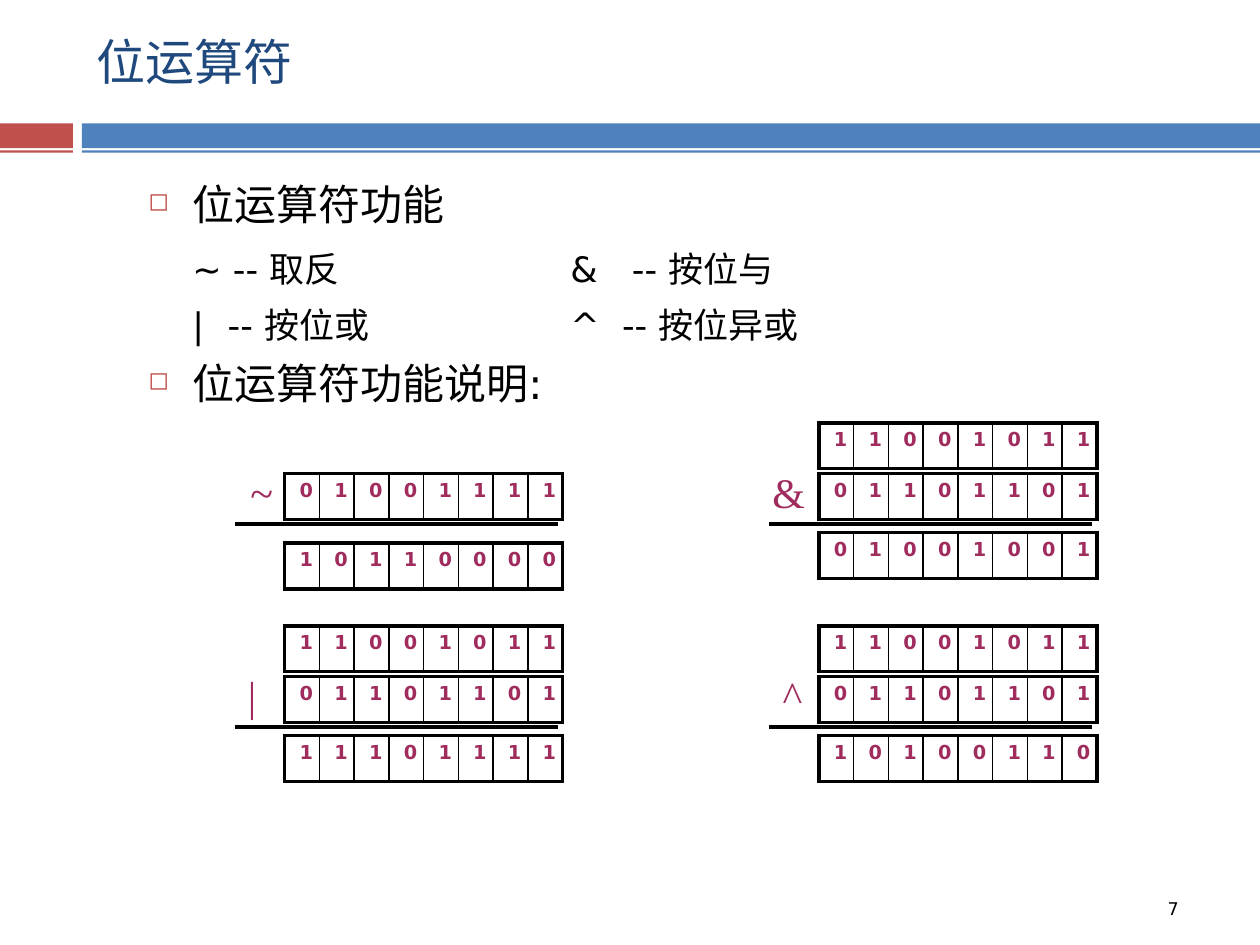
from lxml import etree
from pptx import Presentation
from pptx.dml.color import RGBColor
from pptx.enum.shapes import MSO_CONNECTOR, MSO_SHAPE
from pptx.enum.text import MSO_ANCHOR, PP_ALIGN
from pptx.oxml.ns import qn
from pptx.util import Cm, Pt

RECTANGLE = MSO_SHAPE.RECTANGLE
STRAIGHT = MSO_CONNECTOR.STRAIGHT
MIDDLE, TOP = MSO_ANCHOR.MIDDLE, MSO_ANCHOR.TOP
CENTER, LEFT = PP_ALIGN.CENTER, PP_ALIGN.LEFT

SANS, SERIF = "DejaVu Sans", "Times New Roman"
BLACK, RED, BLUE, NAVY, PLUM = "000000", "C0504D", "4F81BD", "1F497D", "A02C5E"
COLUMN_WIDTH, ROW_HEIGHT = 0.7, 0.92
OPERAND_STEP = 1.02
THICK, THIN = 2.25, 1

# Text, space before, bulleted, tab stops in cm
BODY = [
    ("位运算符功能", 7, True, []),
    ("\t~ -- 取反\t&\t-- 按位与", 10.5, False, [0.89, 8.51, 9.75]),
    ("\t|\t-- 按位或\t^\t-- 按位异或", 8, False, [0.89, 1.6, 8.51, 9.55]),
    ("位运算符功能说明:", 7, True, []),
]

# Symbol, symbol offset, table left, operand top, result offset, rows of bits
OPERATIONS = [
    ("~", -0.99, 5.74, 9.55, 1.4, ["01001111", "10110000"]),
    ("&", -1.24, 16.51, 9.55, 1.19, ["11001011", "01101101", "01001001"]),
    ("|", -1.04, 5.74, 13.64, 1.19, ["11001011", "01101101", "11101111"]),
    ("^", -1.03, 16.51, 13.64, 1.19, ["11001011", "01101101", "10100110"]),
]


def color(value):
    """Turn a hex string into a colour."""
    return RGBColor.from_string(value)


def add_element(parent, tag, **attributes):
    """Append a DrawingML element and return it."""
    element = etree.SubElement(parent, qn(tag))
    for name, value in attributes.items():
        element.set(name, str(value))
    return element


def format_runs(paragraph, font, size, hue, bold=False):
    """Format every run of a paragraph."""
    for run in paragraph.runs:
        run.font.name = font
        run.font.size = Pt(size)
        run.font.bold = bold
        run.font.color.rgb = color(hue)


def add_bar(slide, left, top, width, height, hue):
    """Add a plain coloured bar."""
    shape = slide.shapes.add_shape(RECTANGLE, Cm(left), Cm(top), Cm(width), Cm(height))
    shape.shadow.inherit = False
    shape.fill.solid()
    shape.fill.fore_color.rgb = color(hue)
    shape.line.fill.background()


def add_text(slide, left, top, width, height, text, font, size, hue):
    """Add a wrapping text box with one formatted paragraph."""
    shape = slide.shapes.add_textbox(Cm(left), Cm(top), Cm(width), Cm(height))
    frame = shape.text_frame
    frame.word_wrap = True
    frame.text = text
    format_runs(frame.paragraphs[0], font, size, hue)
    return frame


def set_margins(target):
    """Give a cell or text frame the margins used in the calculations."""
    target.margin_left = target.margin_right = Cm(0.3)
    target.margin_top = target.margin_bottom = Cm(0.15)


def set_title(slide, text):
    """Place and format the title placeholder."""
    title = slide.shapes.title
    title.left, title.top, title.width, title.height = Cm(1.7), Cm(0.03), Cm(22.66), Cm(2.39)
    frame = title.text_frame
    frame.text = text
    frame.vertical_anchor = MIDDLE
    frame.paragraphs[0].alignment = LEFT
    format_runs(frame.paragraphs[0], SANS, 28, NAVY)


def add_body(slide):
    """Add the bulleted headings and the tabbed operator list."""
    shape = slide.shapes.add_textbox(Cm(2.74), Cm(3.48), Cm(22.66), Cm(13.49))
    frame = shape.text_frame
    frame.word_wrap = True
    for index, (text, space, bulleted, stops) in enumerate(BODY):
        paragraph = frame.add_paragraph() if index else frame.paragraphs[0]
        paragraph.text = text
        paragraph.space_before = Pt(space)
        format_runs(paragraph, SANS, 24 if bulleted else 20, BLACK)
        properties = paragraph._p.get_or_add_pPr()
        if bulleted:
            properties.set("marL", str(Cm(0.89)))
            properties.set("indent", str(-Cm(0.89)))
            add_element(add_element(properties, "a:buClr"), "a:srgbClr", val=RED)
            add_element(properties, "a:buSzPct", val=60000)
            add_element(properties, "a:buChar", char="◻")
        else:
            tabs = add_element(properties, "a:tabLst")
            for stop in stops:
                add_element(tabs, "a:tab", pos=Cm(stop), algn="l")


def set_borders(cell, first, last):
    """Draw thick outer and thin inner cell borders."""
    properties = cell._tc.get_or_add_tcPr()
    widths = {"L": THICK if first else THIN, "R": THICK if last else THIN,
              "T": THICK, "B": THICK}
    for side, width in widths.items():
        line = add_element(properties, "a:ln" + side, w=Pt(width))
        add_element(add_element(line, "a:solidFill"), "a:srgbClr", val=BLACK)


def add_bits(slide, left, top, bits):
    """Add one byte as a single-row table."""
    count = len(bits)
    table = slide.shapes.add_table(1, count, Cm(left), Cm(top),
                                   Cm(COLUMN_WIDTH * count), Cm(ROW_HEIGHT)).table
    table.first_row = table.horz_banding = False
    table.rows[0].height = Cm(ROW_HEIGHT)
    for index, bit in enumerate(bits):
        table.columns[index].width = Cm(COLUMN_WIDTH)
        cell = table.cell(0, index)
        cell.text = bit
        cell.vertical_anchor = TOP
        set_margins(cell)
        set_borders(cell, index == 0, index == count - 1)
        cell.fill.background()
        paragraph = cell.text_frame.paragraphs[0]
        paragraph.alignment = CENTER
        paragraph.line_spacing = 0.9
        format_runs(paragraph, SANS, 11, PLUM, bold=True)


def add_rule(slide, left, top, width):
    """Add the line between operands and result."""
    connector = slide.shapes.add_connector(STRAIGHT, Cm(left), Cm(top),
                                           Cm(left + width), Cm(top))
    connector.line.color.rgb = color(BLACK)
    connector.line.width = Pt(THICK)
    add_element(connector._element.spPr, "a:effectLst")


def add_operation(slide, symbol, symbol_offset, left, top, result_offset, rows):
    """Add one worked bit operation."""
    *operands, result = rows
    for index, bits in enumerate(reversed(operands)):
        add_bits(slide, left, top - index * OPERAND_STEP, bits)
    add_rule(slide, left - 1, top + OPERAND_STEP, 6.5)
    frame = add_text(slide, left + symbol_offset, top - 0.3, 1, 1.32,
                     symbol, SERIF, 24, PLUM)
    set_margins(frame)
    add_bits(slide, left, top + result_offset, result)


def main():
    """Build and save the slide."""
    presentation = Presentation()
    presentation.slide_width, presentation.slide_height = Cm(25.4), Cm(19.05)
    slide = presentation.slides.add_slide(presentation.slide_layouts[5])
    for top, height in [(2.49, 0.5), (3.03, 0.05)]:
        add_bar(slide, 0, top, 1.47, height, RED)
        add_bar(slide, 1.65, top, 23.75, height, BLUE)
    set_title(slide, "位运算符")
    add_body(slide)
    for operation in OPERATIONS:
        add_operation(slide, *operation)
    add_text(slide, 23.29, 17.98, 0.84, 0.94, "7", SANS, 10, BLACK)
    presentation.save("out.pptx")


main()
